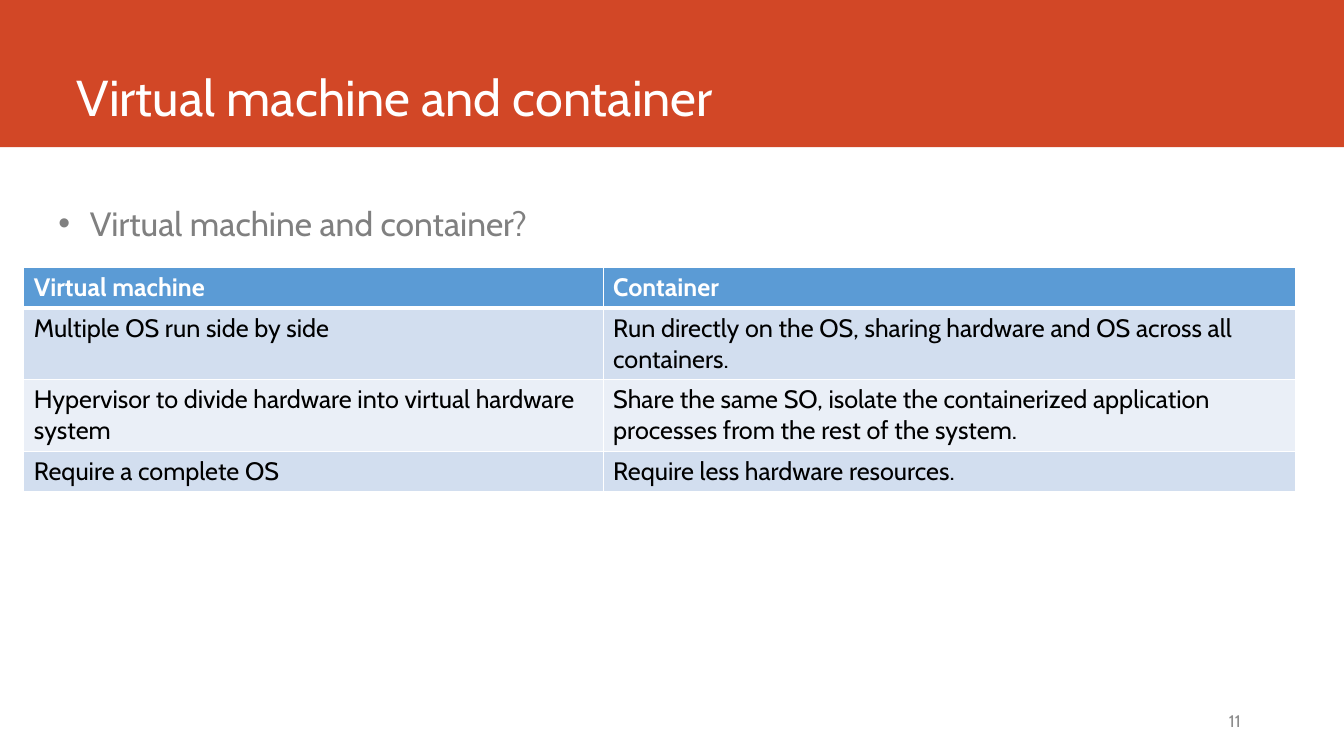
from lxml.etree import SubElement
from pptx import Presentation
from pptx.dml.color import RGBColor
from pptx.enum.shapes import MSO_SHAPE
from pptx.enum.text import MSO_ANCHOR, MSO_AUTO_SIZE, PP_ALIGN
from pptx.oxml.ns import qn
from pptx.util import Cm, Pt

FONT = "Cabin"
WHITE = "FFFFFF"
ROWS = [
    ("Virtual machine", "Container"),
    ("Multiple OS run side by side",
     "Run directly on the OS, sharing hardware and OS across all containers."),
    ("Hypervisor to divide hardware into virtual hardware system",
     "Share the same SO, isolate the containerized application "
     "processes from the rest of the system."),
    ("Require a complete OS", "Require less hardware resources."),
]
WIDTHS = (14.6, 17.45)
HEIGHTS = (1.03, 1.78, 1.78, 1.03)
FILLS = ("5B9BD5", "D2DEEF", "EAEFF7", "D2DEEF")


def color(code):
    return RGBColor.from_string(code)


def place(shape, left, top, width, height):
    shape.left, shape.top = Cm(left), Cm(top)
    shape.width, shape.height = Cm(width), Cm(height)


def add_run(para, text, size, code, bold=False):
    run = para.add_run()
    run.text = text
    font = run.font
    font.name, font.size, font.bold = FONT, Pt(size), bold
    font.color.rgb = color(code)


def set_frame(shape, anchor):
    frame = shape.text_frame
    frame.word_wrap = True
    frame.auto_size = MSO_AUTO_SIZE.NONE
    frame.vertical_anchor = anchor
    return frame.paragraphs[0]


def add_band(slide):
    band = slide.shapes.add_shape(
        MSO_SHAPE.RECTANGLE, 0, 0, Cm(33.87), Cm(3.71))
    band.shadow.inherit = False
    band.fill.solid()
    band.fill.fore_color.rgb = color("D24726")
    band.line.fill.background()
    # Send the band behind the title
    slide.shapes._spTree.insert(2, band._element)


def add_title(slide, text):
    title = slide.shapes.title
    place(title, 1.68, 0, 29.87, 3.35)
    para = set_frame(title, MSO_ANCHOR.BOTTOM)
    para.alignment = PP_ALIGN.LEFT
    para.line_spacing = 0.9
    add_run(para, text, 36, WHITE)


def add_list(slide, text):
    body = slide.placeholders[1]
    place(body, 1.22, 4.47, 29.54, 1.88)
    para = set_frame(body, MSO_ANCHOR.TOP)
    para.line_spacing = 1.5
    para.space_before, para.space_after = Pt(7.2), Pt(12)
    props = para._p.get_or_add_pPr()
    props.set("marL", str(Cm(0.79)))
    props.set("indent", str(Cm(-0.79)))
    SubElement(props, qn("a:buFont")).set("typeface", "Arial")
    SubElement(props, qn("a:buChar")).set("char", "•")
    add_run(para, text, 24, "808080")


def set_edge(cell, side, width):
    props = cell._tc.get_or_add_tcPr()
    line = SubElement(props, qn("a:ln" + side), w=str(Pt(width)))
    fill = SubElement(line, qn("a:solidFill"))
    SubElement(fill, qn("a:srgbClr"), val=WHITE)


def fill_cell(cell, text, row):
    head = row == 0
    for side in "LRTB":
        thick = (row, side) in ((0, "B"), (1, "T"))
        set_edge(cell, side, 3 if thick else 1)
    cell.fill.solid()
    cell.fill.fore_color.rgb = color(FILLS[row])
    add_run(cell.text_frame.paragraphs[0], text, 18,
            WHITE if head else "000000", head)


def add_grid(slide):
    grid = slide.shapes.add_table(
        len(ROWS), len(WIDTHS), Cm(0.6), Cm(6.73),
        Cm(sum(WIDTHS)), Cm(sum(HEIGHTS))).table
    for col, width in zip(grid.columns, WIDTHS):
        col.width = Cm(width)
    for row, texts in enumerate(ROWS):
        grid.rows[row].height = Cm(HEIGHTS[row])
        for col, text in enumerate(texts):
            fill_cell(grid.cell(row, col), text, row)


def add_number(slide, text):
    box = slide.shapes.add_textbox(Cm(22.43), Cm(17.65), Cm(9.09), Cm(1.02))
    para = set_frame(box, MSO_ANCHOR.MIDDLE)
    para.alignment = PP_ALIGN.RIGHT
    add_run(para, text, 12, "8C8C8C")


def main():
    deck = Presentation()
    deck.slide_width, deck.slide_height = Cm(33.87), Cm(19.05)
    slide = deck.slides.add_slide(deck.slide_layouts[1])

    # Heading
    add_band(slide)
    add_title(slide, "Virtual machine and container")

    # Content
    add_list(slide, "Virtual machine and container?")
    add_grid(slide)

    # Footer
    add_number(slide, "11")
    deck.save("out.pptx")


if __name__ == "__main__":
    main()
